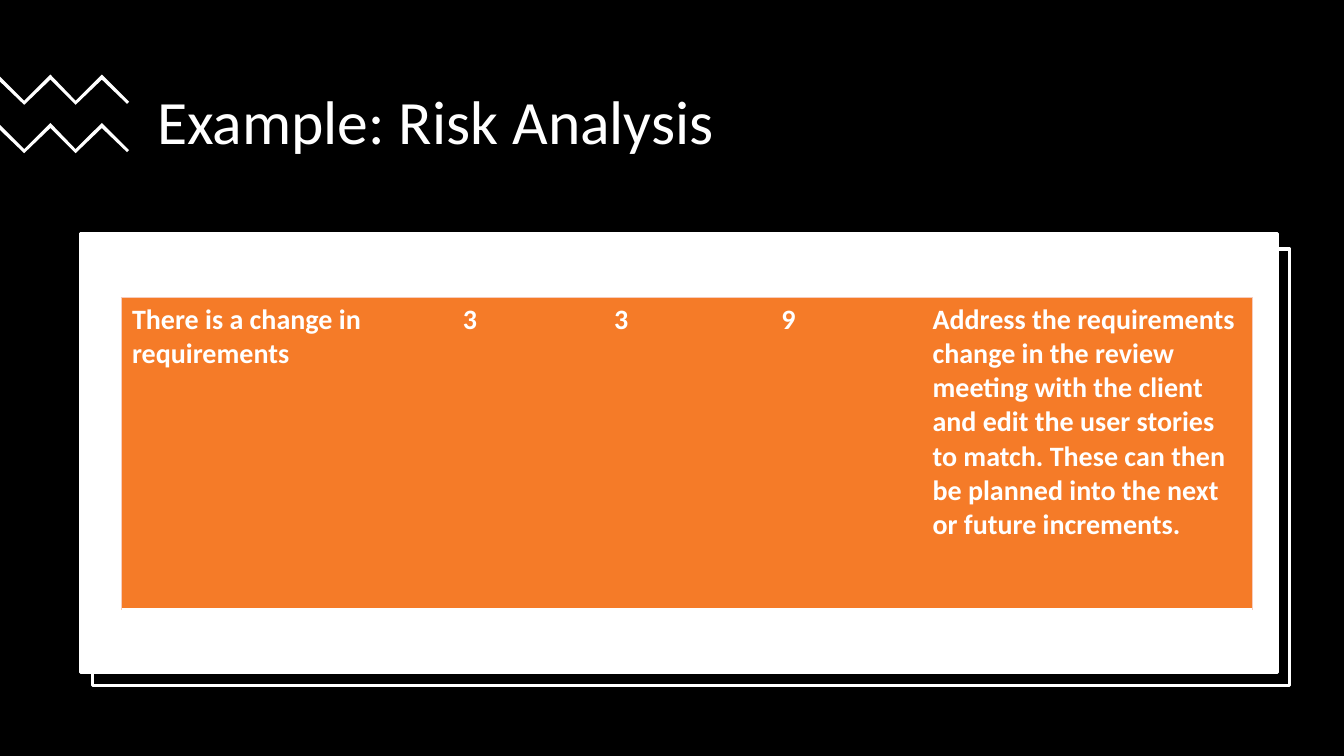
from lxml import etree
from pptx import Presentation
from pptx.dml.color import RGBColor
from pptx.enum.shapes import MSO_SHAPE
from pptx.enum.text import MSO_ANCHOR
from pptx.oxml.ns import qn
from pptx.util import Inches, Pt

RECTANGLE = MSO_SHAPE.RECTANGLE
MIDDLE = MSO_ANCHOR.MIDDLE
FONT = "Calibri"
BLACK, WHITE, ORANGE, PEACH = "000000", "FFFFFF", "F57B28", "F6CCBE"
SLIDE_WIDTH, SLIDE_HEIGHT = 13.33, 7.5
COLUMN_WIDTHS = [3.28, 1.5, 1.66, 1.5, 3.28]
RISK_ROW = [
    "There is a change in requirements", "3", "3", "9",
    "Address the requirements change in the review meeting with the client and edit "
    "the user stories to match. These can then be planned into the next or future increments.",
]
ZIGZAG = [
    (0.5, 0), (0.75, 0.26), (1.01, 0), (1.28, 0.27), (1.26, 0.29), (1.01, 0.05),
    (0.75, 0.3), (0.5, 0.05), (0.24, 0.3), (0, 0.07), (0, 0.02), (0.24, 0.26),
]


def color(value):
    """Turn a hex string into a colour."""
    return RGBColor.from_string(value)


def paint(shape, fill, line=None):
    """Set the fill and outline of a shape and remove its shadow."""
    shape.shadow.inherit = False
    shape.fill.solid()
    shape.fill.fore_color.rgb = color(fill)
    if line:
        shape.line.color.rgb = color(line)
        shape.line.width = Pt(2.25)
    else:
        shape.line.fill.background()


def add_rectangle(slide, left, top, width, height, fill, line=None):
    """Add a plain rectangle."""
    shape = slide.shapes.add_shape(
        RECTANGLE, Inches(left), Inches(top), Inches(width), Inches(height))
    paint(shape, fill, line)


def write(paragraph, text, size, bold=False):
    """Add one white run to a paragraph."""
    run = paragraph.add_run()
    run.text = text
    run.font.name = FONT
    run.font.size = Pt(size)
    run.font.bold = bold
    run.font.color.rgb = color(WHITE)


def add_title(slide, left, top, width, height):
    """Add the slide title, centred vertically in its box."""
    box = slide.shapes.add_textbox(Inches(left), Inches(top), Inches(width), Inches(height))
    box.text_frame.word_wrap = True
    box.text_frame.vertical_anchor = MIDDLE
    paragraph = box.text_frame.paragraphs[0]
    paragraph.line_spacing = 0.9
    write(paragraph, "Example: Risk Analysis", 44)


def add_zigzags(slide, left, top, gap):
    """Add the two zigzag bands, one below the other."""
    for band in range(2):
        points = [(Inches(left + x), Inches(top + band * gap + y)) for x, y in ZIGZAG]
        builder = slide.shapes.build_freeform(*points[0])
        builder.add_line_segments(points[1:], close=True)
        paint(builder.convert_to_shape(), WHITE)


def add_card(slide, left, top, width, height):
    """Add the white card with an outlined frame offset behind it."""
    add_rectangle(slide, left + 0.12, top + 0.15, width, height - 0.02, BLACK, WHITE)
    add_rectangle(slide, left, top, width, height, WHITE, WHITE)


def set_border(cell, side, value=None, width=0):
    """Draw one border of a cell, or clear it when no colour is given."""
    line = etree.SubElement(cell._tc.get_or_add_tcPr(), qn(f"a:ln{side}"), w=str(Pt(width)))
    if value:
        fill = etree.SubElement(line, qn("a:solidFill"))
        etree.SubElement(fill, qn("a:srgbClr"), val=value)
    else:
        etree.SubElement(line, qn("a:noFill"))


def add_risk_table(slide, left, top, height):
    """Add the one-row risk table."""
    count = len(COLUMN_WIDTHS)
    table = slide.shapes.add_table(
        1, count, Inches(left), Inches(top), Inches(sum(COLUMN_WIDTHS)), Inches(height)).table
    table.horz_banding = False
    table.rows[0].height = Inches(height)
    for index, (width, text) in enumerate(zip(COLUMN_WIDTHS, RISK_ROW)):
        table.columns[index].width = Inches(width)
        cell = table.cell(0, index)
        cell.margin_left = cell.margin_right = Inches(0.11)
        cell.margin_top = cell.margin_bottom = Inches(0.05)
        set_border(cell, "L", PEACH if index == 0 else None, 0.5)
        set_border(cell, "R", PEACH if index == count - 1 else None, 0.5)
        set_border(cell, "T", PEACH, 0.5)
        set_border(cell, "B", WHITE, 1.5)
        cell.fill.solid()
        cell.fill.fore_color.rgb = color(ORANGE)
        write(cell.text_frame.paragraphs[0], text, 20, bold=True)


def main():
    """Build the risk analysis slide."""
    presentation = Presentation()
    presentation.slide_width = Inches(SLIDE_WIDTH)
    presentation.slide_height = Inches(SLIDE_HEIGHT)
    slide = presentation.slides.add_slide(presentation.slide_layouts[6])
    add_rectangle(slide, 0, 0, SLIDE_WIDTH, SLIDE_HEIGHT, BLACK)
    add_title(slide, 1.46, 0.62, 10.66, 1.23)
    add_zigzags(slide, 0, 0.74, 0.48)
    add_card(slide, 0.8, 2.32, 11.87, 4.35)
    add_risk_table(slide, 1.2, 2.95, 3.09)
    presentation.save("out.pptx")


if __name__ == "__main__":
    main()
